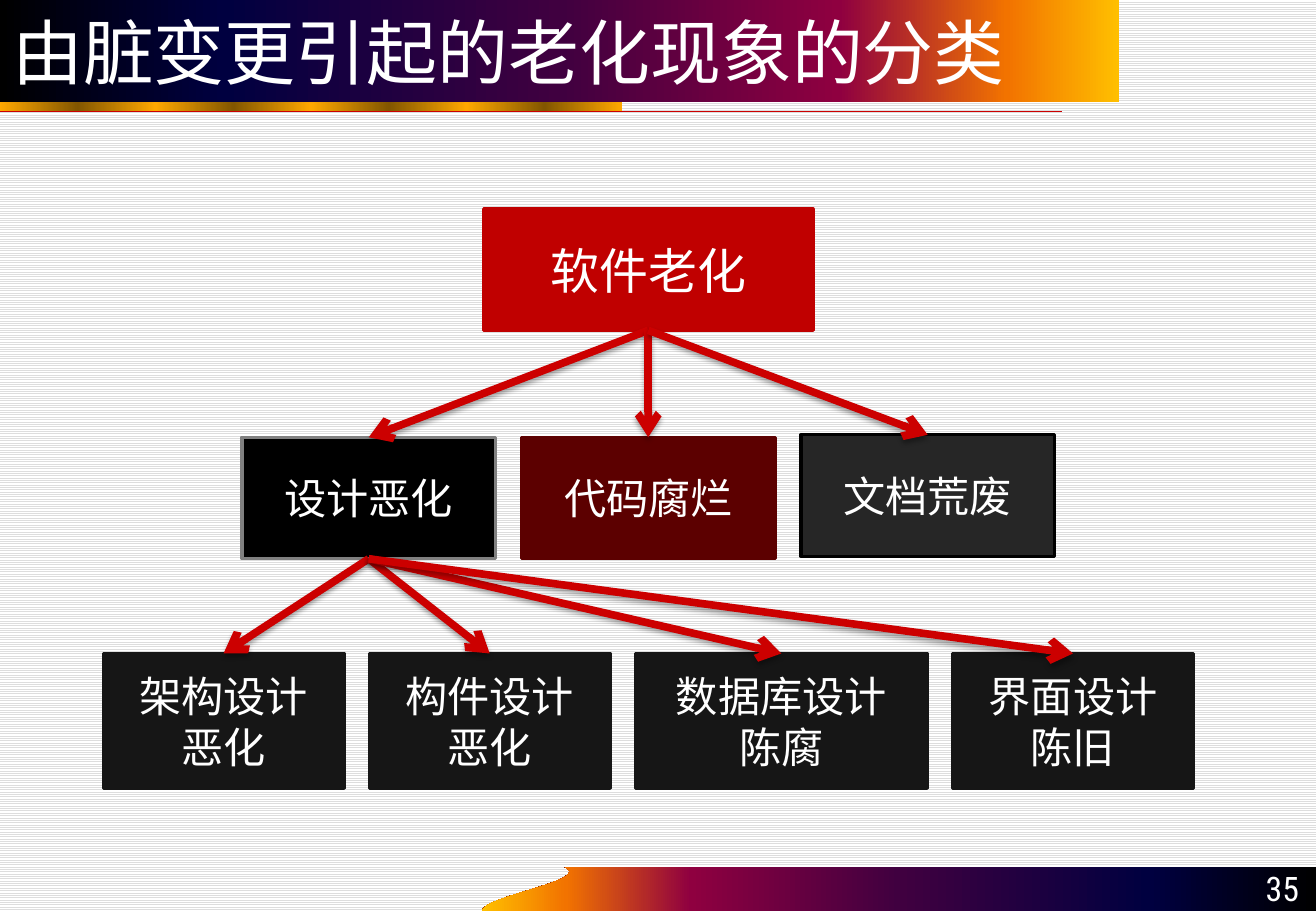
from dataclasses import dataclass

from lxml import etree
from pptx import Presentation
from pptx.dml.color import RGBColor
from pptx.enum.dml import MSO_PATTERN
from pptx.enum.shapes import MSO_CONNECTOR, MSO_SHAPE
from pptx.enum.text import MSO_ANCHOR as Anchor
from pptx.enum.text import MSO_AUTO_SIZE as AutoSize
from pptx.enum.text import PP_ALIGN as Align
from pptx.oxml.ns import qn
from pptx.util import Inches, Pt


@dataclass(frozen=True)
class Theme:
    white: str = "FFFFFF"
    stripe: str = "DDDDDD"
    arrow: str = "CC0000"
    root: str = "C00000"
    code: str = "5C0000"
    design: str = "000000"
    design_edge: str = "808080"
    document: str = "262626"
    document_edge: str = "000000"
    leaf: str = "161616"
    gold: str = "FFA800"
    bronze: str = "825600"
    sunset: tuple = ((0, "000000"), (20, "000040"), (50, "400040"),
                     (75, "8F0040"), (90, "F27300"), (100, "FFBF00"))
    title_font: str = "DejaVu Sans"
    box_font: str = "Noto Sans CJK SC"
    number_font: str = "Roboto Condensed"
    title_size: int = 42
    root_size: int = 29
    box_size: int = 25
    number_size: int = 20


THEME = Theme()
GAP = 0.21


def color(code):
    return RGBColor.from_string(code)


def child(parent, tag, **attributes):
    element = etree.SubElement(parent, qn(tag))
    for key, value in attributes.items():
        element.set(key, str(value))
    return element


def fill_gradient(shape, stops, angle=0):
    shape.fill.gradient()
    shape.fill.gradient_angle = angle
    stop_list = next(shape.element.iter(qn("a:gsLst")))
    for stop in list(stop_list):
        stop_list.remove(stop)
    for position, code in stops:
        stop = child(stop_list, "a:gs", pos=int(position * 1000))
        child(stop, "a:srgbClr", val=code)
    shape.line.fill.background()


def write(shape, text, font_name, size, align, anchor=Anchor.MIDDLE):
    frame = shape.text_frame
    frame.text = text
    frame.word_wrap = True
    frame.auto_size = AutoSize.NONE
    frame.vertical_anchor = anchor
    frame.margin_left = frame.margin_right = Inches(0.1)
    frame.margin_top = frame.margin_bottom = Inches(0.05)
    for paragraph in frame.paragraphs:
        paragraph.alignment = align
        paragraph.font.name = font_name
        paragraph.font.size = Pt(size)
        paragraph.font.color.rgb = color(THEME.white)
    for properties in shape.element.iter(qn("a:defRPr")):
        child(properties, "a:ea", typeface=font_name)


def add_box(slide, text, left, top, width, height, fill, edge=None, size=THEME.box_size):
    box = slide.shapes.add_shape(MSO_SHAPE.RECTANGLE, Inches(left), Inches(top),
                                 Inches(width), Inches(height))
    box.shadow.inherit = False
    box.fill.solid()
    box.fill.fore_color.rgb = color(fill)
    box.line.color.rgb = color(edge or fill)
    box.line.width = Pt(2)
    write(box, text, THEME.box_font, size, Align.CENTER)
    return box


def add_line(slide, start, end, width):
    line = slide.shapes.add_connector(
        MSO_CONNECTOR.STRAIGHT, *(Inches(value) for value in (*start, *end)))
    line.line.color.rgb = color(THEME.arrow)
    line.line.width = Pt(width)
    effects = child(line.element.spPr, "a:effectLst")
    return line, effects


def add_arrow(slide, parent, target):
    arrow, effects = add_line(slide, (0, 0), (1, 1), 4.5)
    arrow.begin_connect(parent, 2)
    arrow.end_connect(target, 0)
    child(next(arrow.element.iter(qn("a:ln"))), "a:tailEnd", type="arrow")
    shadow = child(effects, "a:outerShdw", blurRad=Pt(3.1), dist=Pt(1.8),
                   dir=90 * 60000, rotWithShape=0)
    shade = child(shadow, "a:srgbClr", val="000000")
    child(shade, "a:alpha", val=35000)


def add_footer(slide):
    bezier = ((3.97, 7.5), (3.97, 7.38), (4.87, 7.25), (4.65, 7.14))
    steps = 24
    wave = []
    for step in range(1, steps):
        t = step / steps
        weights = ((1 - t) ** 3, 3 * t * (1 - t) ** 2, 3 * t * t * (1 - t), t ** 3)
        wave.append(tuple(sum(w * point[axis] for w, point in zip(weights, bezier))
                          for axis in (0, 1)))
    outline = [(10.83, 7.14), (10.83, 7.5), bezier[0], *wave]
    builder = slide.shapes.build_freeform(Inches(4.65), Inches(7.14))
    builder.add_line_segments([(Inches(x), Inches(y)) for x, y in outline])
    footer = builder.convert_to_shape()
    footer.shadow.inherit = False
    fill_gradient(footer, THEME.sunset, 180)


def add_header(slide):
    band = slide.shapes.add_shape(MSO_SHAPE.RECTANGLE, 0, Inches(0.76),
                                  Inches(5.12), Inches(0.16))
    band.shadow.inherit = False
    fill_gradient(band, [(i * 12.5, THEME.bronze if i % 2 else THEME.gold)
                         for i in range(9)])
    add_line(slide, (0, 0.92), (8.74, 0.92), 0.75)

    title = slide.shapes.title
    title.left, title.top = 0, 0
    title.width, title.height = Inches(9.21), Inches(0.84)
    fill_gradient(title, THEME.sunset)
    write(title, "由脏变更引起的老化现象的分类", THEME.title_font,
          THEME.title_size, Align.LEFT)
    slide.shapes.element.append(title.element)


def add_page_number(slide):
    number = slide.shapes.add_textbox(Inches(9.83), Inches(7.13),
                                      Inches(0.96), Inches(0.4))
    write(number, "35", THEME.number_font, THEME.number_size,
          Align.RIGHT, Anchor.BOTTOM)


def add_tree(slide):
    root = add_box(slide, "软件老化", 3.98, 1.72, 2.71, 1, THEME.root,
                   size=THEME.root_size)
    branches = []
    for column, (text, top, fill, edge) in enumerate((
            ("设计恶化", 3.6, THEME.design, THEME.design_edge),
            ("代码腐烂", 3.6, THEME.code, THEME.code),
            ("文档荒废", 3.58, THEME.document, THEME.document_edge))):
        branches.append(add_box(slide, text, 1.99 + column * (2.09 + GAP), top,
                                2.09, 1, fill, edge))
    leaves = []
    left = 0.85
    for text, width in (("架构设计\v恶化", 1.98), ("构件设计\v恶化", 1.98),
                        ("数据库设计\v陈腐", 2.4), ("界面设计\v陈旧", 1.98)):
        leaves.append(add_box(slide, text, left, 5.38, width, 1.11, THEME.leaf))
        left += width + GAP
    for parent, targets in ((root, branches), (branches[0], leaves)):
        for target in targets:
            add_arrow(slide, parent, target)


def main():
    deck = Presentation()
    deck.slide_width, deck.slide_height = Inches(10.83), Inches(7.5)
    slide = deck.slides.add_slide(deck.slide_layouts.get_by_name("Title Only"))
    backdrop = slide.background.fill
    backdrop.patterned()
    backdrop.pattern = MSO_PATTERN.LIGHT_HORIZONTAL
    backdrop.fore_color.rgb = color(THEME.stripe)
    backdrop.back_color.rgb = color(THEME.white)
    add_footer(slide)
    add_header(slide)
    add_page_number(slide)
    add_tree(slide)
    deck.save("out.pptx")


if __name__ == "__main__":
    main()
